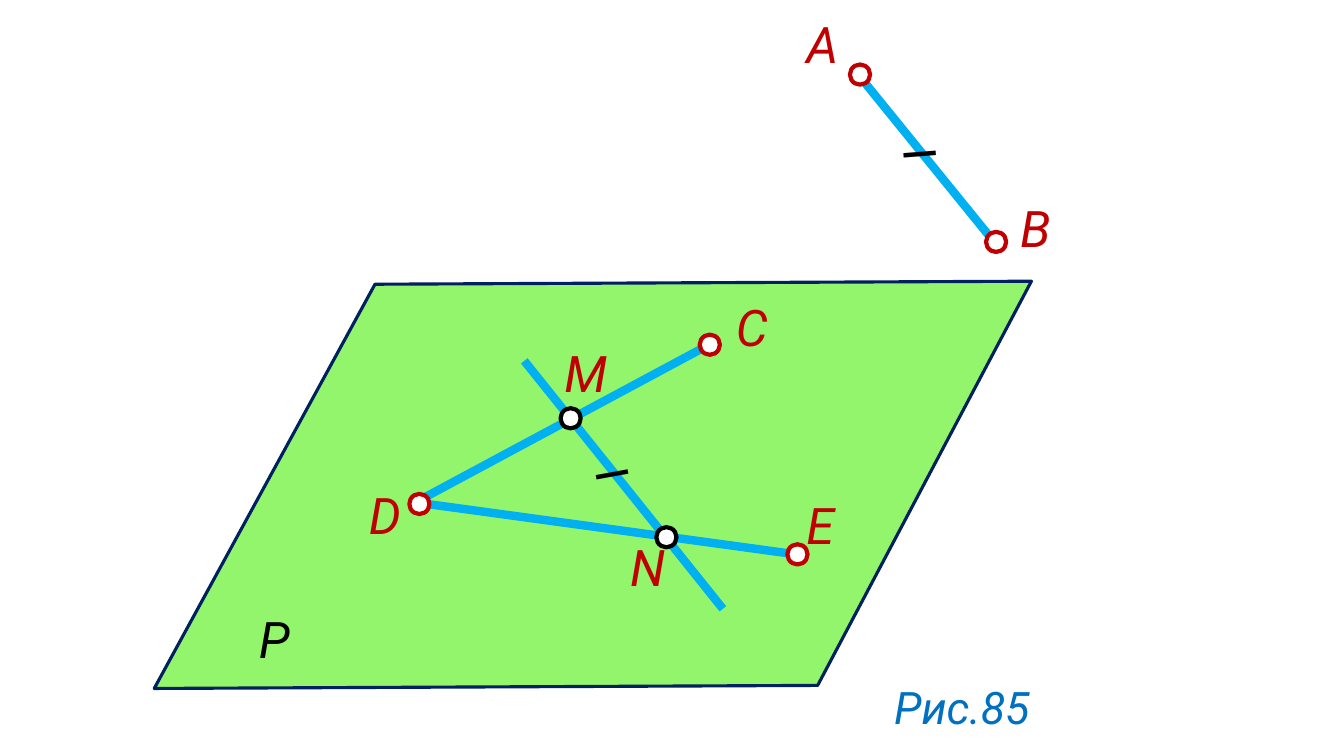
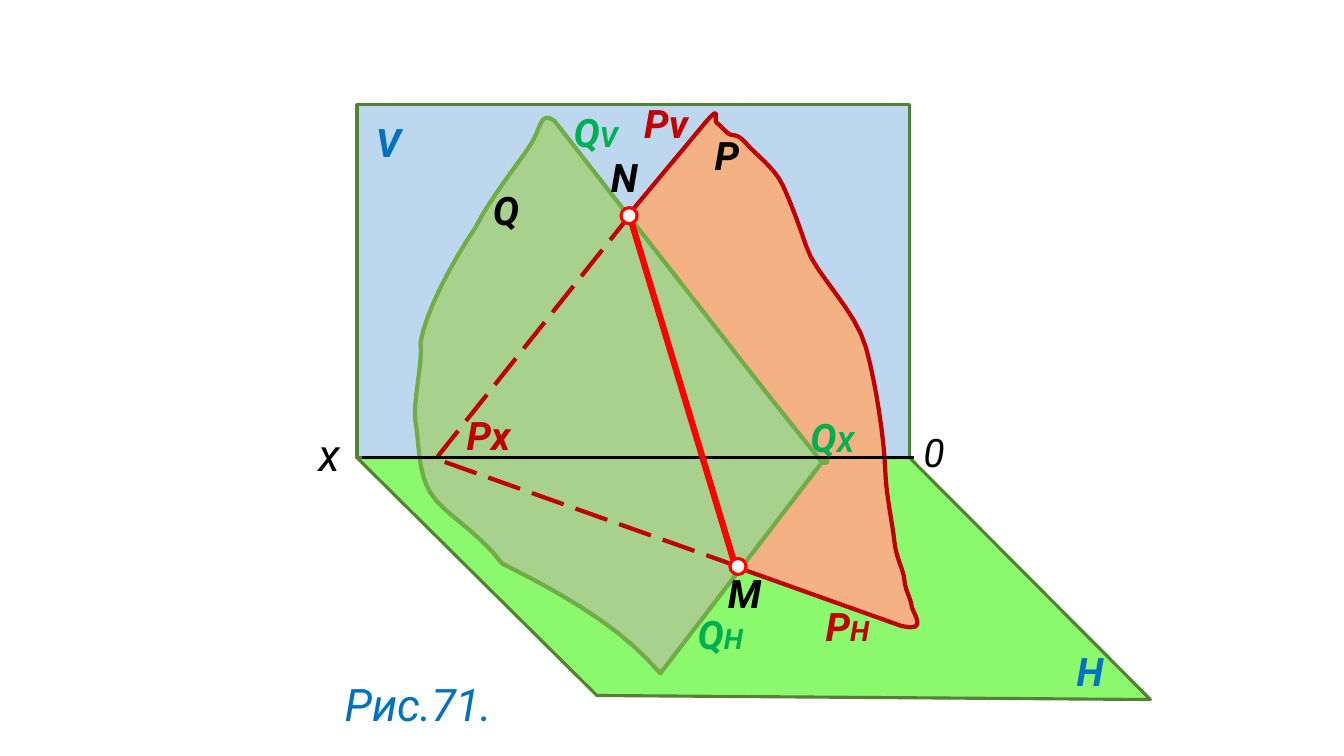
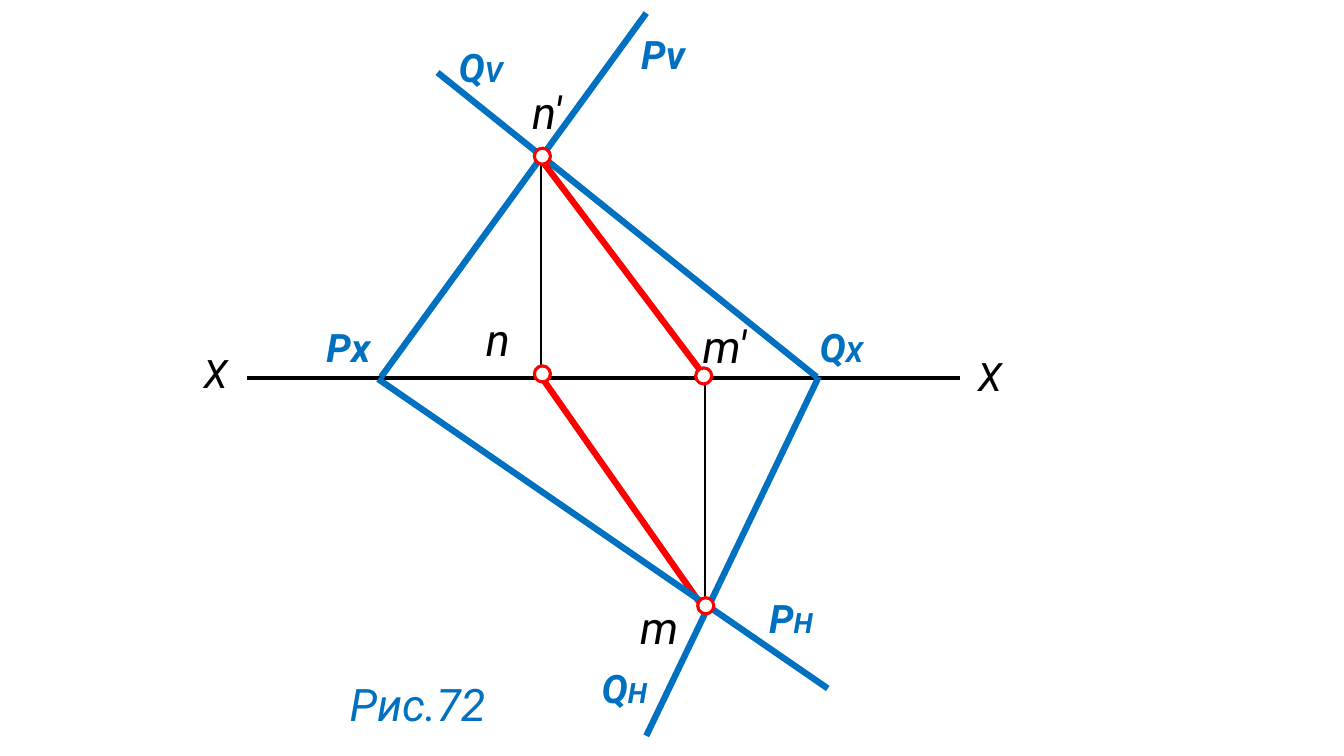
from lxml import etree
from pptx import Presentation
from pptx import util as u
from pptx.dml.color import RGBColor
from pptx.enum import dml, shapes, text
from pptx.oxml.ns import qn

BLACK, WHITE, RED, CRIMSON = "000000", "FFFFFF", "FF0000", "C00000"
BLUE, SKY, GREEN, MOSS = "0070C0", "00B0F0", "00B050", "548235"
SUBSCRIPT = 20


def color(value):
    return RGBColor.from_string(value)


def lettering(size, tint, bold=False, name="Roboto", italic=True):
    return {"size": size, "tint": tint, "bold": bold, "name": name, "italic": italic}


def bezier(start, curve, steps=8):
    knots = [start, curve[:2], curve[2:4], curve[4:]]
    weights = (1, 3, 3, 1)
    for step in range(1, steps + 1):
        t = step / steps
        yield tuple(
            sum(w * (1 - t) ** (3 - k) * t**k * knot[axis]
                for k, (w, knot) in enumerate(zip(weights, knots)))
            for axis in (0, 1)
        )


class Drawing:
    """Holds the deck, its shared style and the page being drawn."""

    def __init__(self):
        self.deck = Presentation()
        self.deck.slide_width = u.Inches(13.33)
        self.deck.slide_height = u.Inches(7.5)
        self.caption_style = lettering(32, BLUE)
        self.tick_style = lettering(36, BLACK, name="Calibri", italic=False)
        self.page = None

    def new_page(self):
        self.page = self.deck.slides.add_slide(self.deck.slide_layouts[6]).shapes

    def paint(self, shape, fill, tint, width):
        shape.shadow.inherit = False
        shape.fill.solid()
        shape.fill.fore_color.rgb = color(fill)
        shape.line.color.rgb = color(tint)
        shape.line.width = u.Pt(width)

    def preset(self, kind, at, fill, tint, width):
        shape = self.page.add_shape(kind, *map(u.Inches, at))
        self.paint(shape, fill, tint, width)

    def point(self, x, y, tint=RED, size=0.16, width=2.25):
        at = (x - size / 2, y - size / 2, size, size)
        self.preset(shapes.MSO_SHAPE.OVAL, at, WHITE, tint, width)

    def outline(self, start, parts, fill, tint, width):
        corners = [start]
        for part in parts:
            corners.extend([part] if len(part) == 2 else bezier(corners[-1], part))
        corners = [tuple(map(u.Inches, corner)) for corner in corners]
        builder = self.page.build_freeform(*corners[0], scale=1.0)
        builder.add_line_segments(corners[1:], close=True)
        self.paint(builder.convert_to_shape(), fill, tint, width)

    def segment(self, start, end, tint, width, dash=None):
        line = self.page.add_connector(
            shapes.MSO_CONNECTOR.STRAIGHT, *map(u.Inches, (*start, *end)))
        line.line.color.rgb = color(tint)
        line.line.width = u.Pt(width)
        if dash:
            line.line.dash_style = dash
        etree.SubElement(line._element.spPr, qn("a:effectLst"))

    def label(self, words, x, y, width, style, subscript="", rotation=0):
        height = 1.2 * style["size"] / 72 + 0.1
        box = self.page.add_textbox(*map(u.Inches, (x, y, width, height)))
        box.rotation = rotation
        box.text_frame.word_wrap = True
        box.text_frame.auto_size = text.MSO_AUTO_SIZE.SHAPE_TO_FIT_TEXT
        para = box.text_frame.paragraphs[0]
        for part, size in ((words, style["size"]), (subscript, SUBSCRIPT)):
            if part:
                span = para.add_run()
                span.text = part
                span.font.size = u.Pt(size)
                span.font.color.rgb = color(style["tint"])
                for key in ("name", "bold", "italic"):
                    setattr(span.font, key, style[key])

    def tick(self, x, y, rotation):
        self.label("I", x, y, 0.32, self.tick_style, rotation=rotation)

    def caption(self, words, x, y=6.66):
        self.label(words, x, y, 1.85, self.caption_style)


def draw_parallel_segment(drawing):
    drawing.new_page()
    plane = [(10.23, 2.79), (8.11, 6.8), (1.53, 6.83)]
    drawing.outline((3.72, 2.82), plane, "92F56B", "002060", 2.25)
    for start, end in (
        ((9.9, 2.45), (8.48, 0.7)),
        ((4.09, 5), (7.07, 3.4)),
        ((4.09, 4.98), (7.9, 5.5)),
        ((7.17, 6.04), (5.2, 3.58)),
    ):
        drawing.segment(start, end, SKY, 6)
    drawing.label("P", 2.47, 5.98, 0.48, lettering(36, BLACK))
    for name, x, y in (
        ("А", 7.9, 0.08), ("В", 10.02, 1.91), ("D", 3.56, 4.75), ("N", 6.15, 5.27),
        ("M", 5.5, 3.34), ("E", 7.9, 4.85), ("C", 7.2, 2.89),
    ):
        drawing.label(name, x, y, 0.48, lettering(36, CRIMSON))
    drawing.tick(5.95, 4.35, 79.8)
    drawing.tick(9, 1.18, 85.5)
    drawing.caption("Рис.85", 8.77, 6.69)
    for x, y, tint in (
        (8.53, 0.74, CRIMSON), (9.88, 2.4, CRIMSON), (4.16, 5, CRIMSON),
        (7.91, 5.5, CRIMSON), (7.04, 3.42, CRIMSON),
        (5.66, 4.15, BLACK), (6.61, 5.33, BLACK),
    ):
        drawing.point(x, y, tint, 0.2, 3)


def draw_crossing_planes(drawing):
    drawing.new_page()
    wall = (3.54, 1.04, 5.48, 3.5)
    drawing.preset(shapes.MSO_SHAPE.RECTANGLE, wall, "BDD7EE", MOSS, 2.25)
    floor = [(9.02, 4.54), (11.41, 6.94), (5.92, 6.9)]
    drawing.outline((3.54, 4.54), floor, "8CF86E", MOSS, 2.25)
    plane_p = [
        (7.01, 1.2),
        (7.16, 1.03, 7.07, 1.19, 7.11, 1.22),
        (7.14, 1.24, 7.17, 1.28, 7.22, 1.32),
        (7.26, 1.36, 7.3, 1.31, 7.39, 1.41),
        (7.48, 1.52, 7.68, 1.66, 7.76, 1.83),
        (7.84, 2, 7.91, 2.19, 8, 2.45),
        (8.08, 2.71, 8.49, 3.08, 8.59, 3.45),
        (8.69, 3.81, 8.77, 4.36, 8.78, 4.65),
        (8.79, 4.93, 8.85, 5.17, 8.87, 5.36),
        (8.89, 5.55, 8.96, 5.64, 8.97, 5.75),
        (8.98, 5.86, 9.03, 5.93, 9.04, 6),
        (9.04, 6.07, 9.23, 6.28, 8.94, 6.21),
        (7.26, 5.61),
    ]
    drawing.outline((6.21, 2.16), plane_p, "F4B183", CRIMSON, 3)
    plane_q = [
        (5.5, 1.2),
        (5.35, 1.09, 5.37, 1.28, 5.26, 1.44),
        (5.15, 1.61, 4.86, 1.97, 4.72, 2.25),
        (4.47, 2.62, 4.22, 3.1, 4.17, 3.4),
        (4.2, 3.57, 4.09, 4.01, 4.12, 4.18),
        (4.16, 4.39, 4.14, 4.68, 4.27, 4.89),
        (4.4, 5.1, 4.72, 5.25, 4.98, 5.59),
        (5.8, 6, 6.22, 6.3, 6.55, 6.68),
        (8.15, 4.59), (8.2, 4.59), (8.21, 4.54), (8.14, 4.57),
    ]
    drawing.outline((7.66, 3.97), plane_q, "A9D18E", "70AD47", 3)
    for start, end in (((6.26, 2.12), (4.34, 4.53)), ((7.32, 5.62), (4.29, 4.54))):
        drawing.segment(start, end, CRIMSON, 3, dml.MSO_LINE.LONG_DASH)
    drawing.segment((3.59, 4.54), (9.07, 4.54), BLACK, 2.25)
    drawing.segment((6.25, 2.16), (7.3, 5.64), RED, 4.5)
    drawing.label("x", 3.06, 4.18, 0.4, lettering(32, BLACK))
    drawing.label("0", 9.06, 4.2, 0.89, lettering(28, BLACK))
    for words, subscript, x, y, tint in (
        ("Q", "H", 6.82, 6.01, GREEN), ("Q", "V", 5.59, 1.03, GREEN),
        ("Q", "X", 7.94, 4.05, GREEN), ("P", "H", 8.09, 5.93, CRIMSON),
        ("Pv", "", 6.29, 0.94, CRIMSON), ("Px", "", 4.53, 4.03, CRIMSON),
        ("V", "", 3.63, 1.12, BLUE), ("H", "", 10.58, 6.37, BLUE),
        ("P", "", 6.99, 1.25, BLACK), ("M", "", 7.12, 5.6, BLACK),
        ("Q", "", 4.79, 1.8, BLACK), ("N", "", 5.96, 1.47, BLACK),
    ):
        width = 0.75 if subscript or len(words) > 1 else 0.49
        drawing.label(words, x, y, width, lettering(28, tint, True), subscript)
    drawing.caption("Рис.71.", 3.32)
    drawing.point(6.24, 2.14)
    drawing.point(7.32, 5.62)


def draw_projections(drawing):
    drawing.new_page()
    for start, end, tint, width in (
        ((5.37, 1.6), (5.37, 3.73), BLACK, 1.5),
        ((6.99, 3.76), (6.99, 6.05), BLACK, 1.5),
        ((6.99, 6.05), (5.37, 3.74), RED, 4.5),
        ((9.52, 3.75), (2.45, 3.75), BLACK, 3),
        ((6.41, 0.13), (3.78, 3.74), BLUE, 4.5),
        ((8.21, 6.83), (3.75, 3.76), BLUE, 4.5),
        ((8.1, 3.74), (4.34, 0.72), BLUE, 4.5),
        ((8.12, 3.74), (6.41, 7.3), BLUE, 4.5),
        ((7.01, 3.76), (5.38, 1.6), RED, 4.5),
    ):
        drawing.segment(start, end, tint, width)
    for words, subscript, x, y in (
        ("Q", "H", 5.87, 6.54), ("Q", "V", 4.45, 0.38), ("P", "H", 7.53, 5.85),
        ("Pv", "", 6.26, 0.25), ("Q", "X", 8.03, 3.16), ("Px", "", 3.14, 3.16),
    ):
        drawing.label(words, x, y, 0.8, lettering(28, BLUE, True), subscript)
    for words, x, y, size in (
        ("X", 9.6, 3.45, 28), ("X", 1.92, 3.42, 28), ("n", 4.72, 3.04, 32),
        ("n'", 5.18, 0.79, 32), ("m'", 6.87, 3.11, 32), ("m", 6.25, 5.9, 32),
    ):
        drawing.label(words, x, y, 0.69, lettering(size, BLACK))
    drawing.caption("Рис.72", 3.37)
    for x, y in ((5.38, 1.55), (5.38, 3.71), (7, 6.01), (6.98, 3.73)):
        drawing.point(x, y)


def main():
    drawing = Drawing()
    draw_parallel_segment(drawing)
    draw_crossing_planes(drawing)
    draw_projections(drawing)
    drawing.deck.save("out.pptx")


if __name__ == "__main__":
    main()
